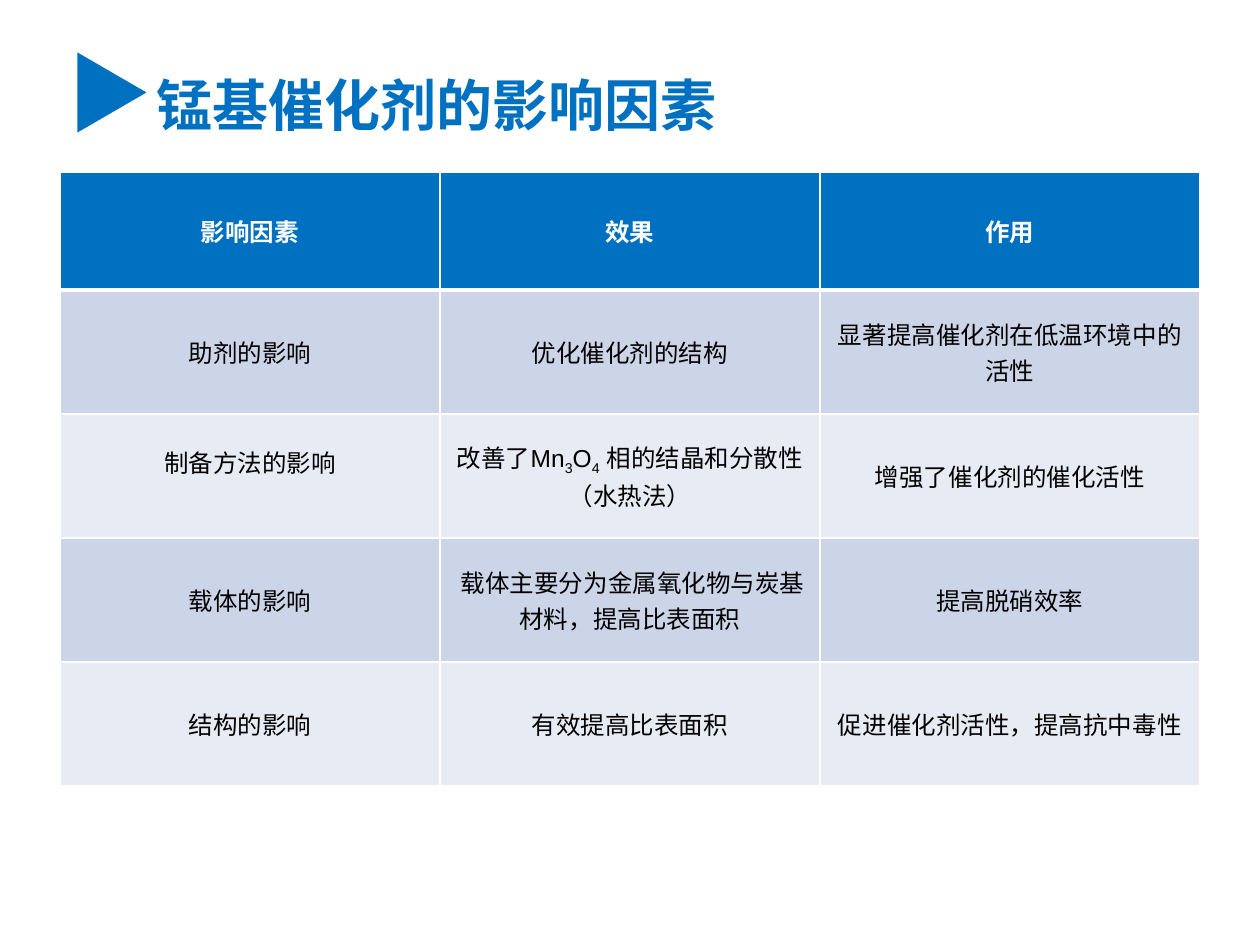
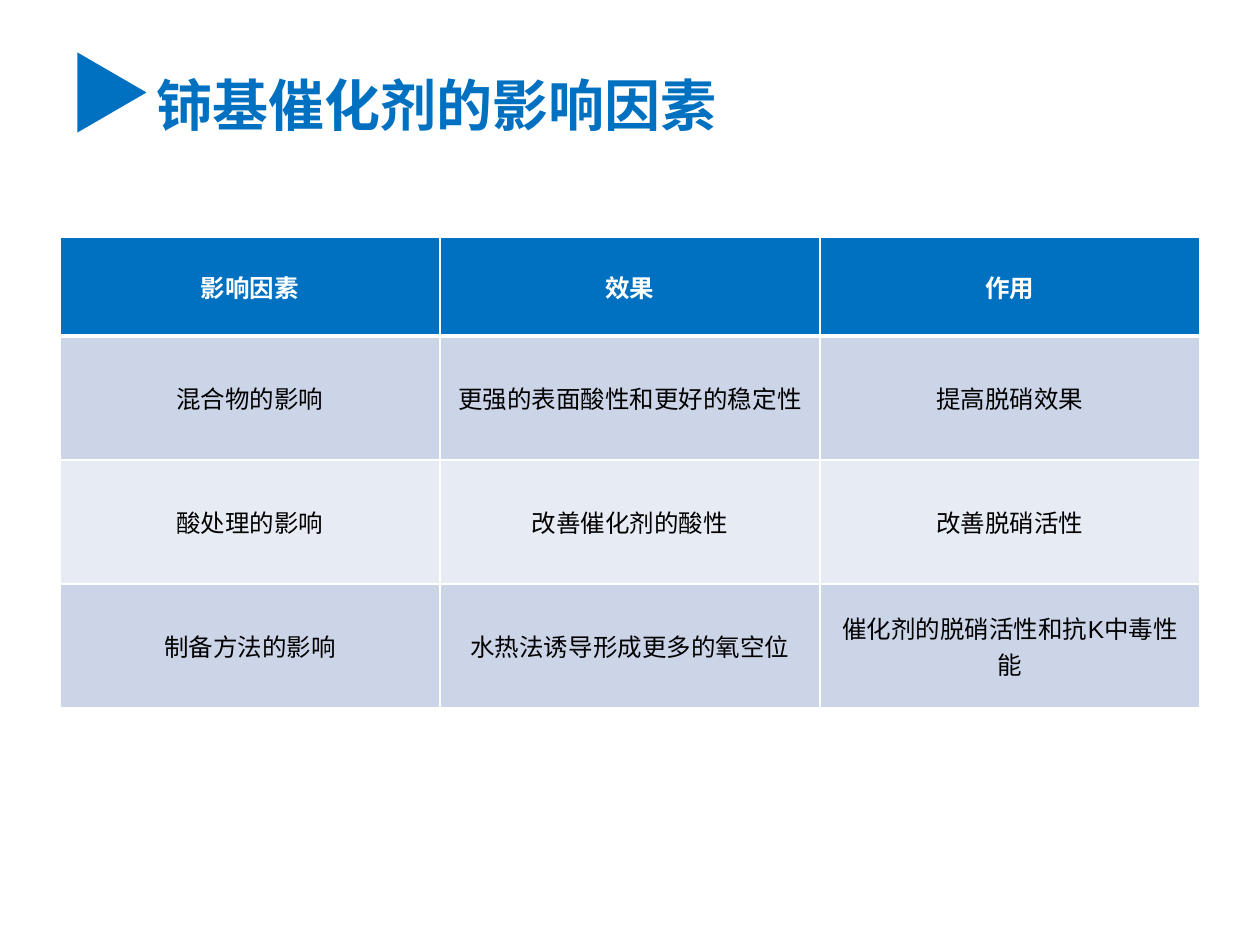
from dataclasses import dataclass

from lxml import etree
from pptx import Presentation
from pptx.dml.color import RGBColor
from pptx.enum.shapes import MSO_SHAPE
from pptx.enum.text import MSO_ANCHOR, MSO_AUTO_SIZE, PP_ALIGN
from pptx.oxml.ns import qn
from pptx.presentation import Presentation as Deck
from pptx.slide import Slide
from pptx.table import _Cell as Cell
from pptx.text.text import TextFrame
from pptx.util import Emu, Pt

# Shared look
BLUE = RGBColor(0x00, 0x70, 0xC0)
DARK_BAND = RGBColor(0xCC, 0xD5, 0xE8)
LIGHT_BAND = RGBColor(0xE7, 0xEB, 0xF4)
WHITE = RGBColor(0xFF, 0xFF, 0xFF)
BLACK = RGBColor(0x00, 0x00, 0x00)
LATIN_FONT = "Arial"
CJK_FONT = "Noto Sans CJK SC"
TITLE_SIZE = 32
CELL_SIZE = 14

TRIANGLE = MSO_SHAPE.ISOSCELES_TRIANGLE
LEFT, CENTER = PP_ALIGN.LEFT, PP_ALIGN.CENTER
TOP, MIDDLE = MSO_ANCHOR.TOP, MSO_ANCHOR.MIDDLE
GROW = MSO_AUTO_SIZE.SHAPE_TO_FIT_TEXT

# Layout in px
PX_PER_INCH = 126
TITLE_ONLY_LAYOUT = 5
TABLE_LEFT = 60
COLUMN_WIDTH = 380
ROW_HEIGHT = 124
HEADINGS = ("影响因素", "效果", "作用")
SUBSCRIPT_MARK = "|"  # text between two marks is set as subscript


@dataclass(frozen=True)
class FactorSlide:
    title: str
    table_top: int
    header_height: int
    rows: tuple[tuple[str, str, str], ...]
    raised_cells: tuple[tuple[int, int], ...] = ()


FACTOR_SLIDES = (
    FactorSlide("锰基催化剂的影响因素", 172, 118, (
        ("助剂的影响", "优化催化剂的结构", "显著提高催化剂在低温环境中的活性"),
        ("制备方法的影响", "改善了Mn|3|O|4| 相的结晶和分散性（水热法）",
         "增强了催化剂的催化活性"),
        ("载体的影响", " 载体主要分为金属氧化物与炭基材料，提高比表面积",
         "提高脱硝效率"),
        ("结构的影响", "有效提高比表面积", "促进催化剂活性，提高抗中毒性"),
    ), raised_cells=((2, 0),)),
    FactorSlide("铈基催化剂的影响因素", 237, 99, (
        ("混合物的影响", "更强的表面酸性和更好的稳定性", "提高脱硝效果"),
        ("酸处理的影响", "改善催化剂的酸性", "改善脱硝活性"),
        ("制备方法的影响", "水热法诱导形成更多的氧空位", "催化剂的脱硝活性和抗K中毒性能"),
    )),
)


def px(length: int) -> Emu:
    return Emu(round(length * 914400 / PX_PER_INCH))


def write_text(frame: TextFrame, text: str, *, size: int, color: RGBColor,
               bold: bool = False, font: str = LATIN_FONT,
               align: PP_ALIGN = CENTER, line_spacing: float = 1.0,
               space_before: float = 0) -> None:
    para = frame.paragraphs[0]
    para.alignment = align
    para.line_spacing = line_spacing
    para.space_before = Pt(space_before)
    for index, part in enumerate(text.split(SUBSCRIPT_MARK)):
        span = para.add_run()
        span.text = part
        span.font.size = Pt(size)
        span.font.bold = bold
        span.font.color.rgb = color
        span.font.name = font
        properties = span._r.get_or_add_rPr()
        etree.SubElement(properties, qn("a:ea"), typeface=CJK_FONT)
        if index % 2:
            properties.set("baseline", "-25000")


def set_borders(cell: Cell, *, top: int, bottom: int) -> None:
    properties = cell._tc.get_or_add_tcPr()
    for side, width in (("L", 1), ("R", 1), ("T", top), ("B", bottom)):
        line = etree.SubElement(properties, qn(f"a:ln{side}"), w=str(Pt(width)))
        fill = etree.SubElement(line, qn("a:solidFill"))
        etree.SubElement(fill, qn("a:srgbClr"), val=str(WHITE))


def add_title(page: Slide, text: str) -> None:
    box = page.shapes.title
    box.left, box.top, box.width, box.height = map(px, (144, 44, 593, 88))
    frame = box.text_frame
    frame.word_wrap = False
    frame.auto_size = GROW
    frame.vertical_anchor = TOP
    write_text(frame, text, size=TITLE_SIZE, color=BLUE, bold=True,
               font=CJK_FONT, align=LEFT, line_spacing=1.3,
               space_before=TITLE_SIZE * 0.2)

    # Pointer in front of the title
    pointer = page.shapes.add_shape(TRIANGLE, *map(px, (72, 58, 80, 69)))
    pointer.rotation = 90
    pointer.shadow.inherit = False
    pointer.fill.solid()
    pointer.fill.fore_color.rgb = BLUE
    pointer.line.fill.background()


def add_factor_table(page: Slide, content: FactorSlide) -> None:
    rows = (HEADINGS, *content.rows)
    height = content.header_height + ROW_HEIGHT * len(content.rows)
    table = page.shapes.add_table(
        len(rows), len(HEADINGS), px(TABLE_LEFT), px(content.table_top),
        px(COLUMN_WIDTH * len(HEADINGS)), px(height)).table
    for column in table.columns:
        column.width = px(COLUMN_WIDTH)
    for row_index, texts in enumerate(rows):
        header = row_index == 0
        table.rows[row_index].height = px(content.header_height if header else ROW_HEIGHT)
        band = BLUE if header else DARK_BAND if row_index % 2 else LIGHT_BAND
        for column_index, text in enumerate(texts):
            cell = table.cell(row_index, column_index)
            cell.vertical_anchor = MIDDLE
            if (row_index, column_index) in content.raised_cells:
                cell.margin_bottom = px(34)
            set_borders(cell, top=3 if row_index == 1 else 1, bottom=3 if header else 1)
            cell.fill.solid()
            cell.fill.fore_color.rgb = band
            write_text(cell.text_frame, text, size=CELL_SIZE,
                       color=WHITE if header else BLACK, bold=header)


def add_factor_slide(deck: Deck, content: FactorSlide) -> None:
    page = deck.slides.add_slide(deck.slide_layouts[TITLE_ONLY_LAYOUT])
    page.background.fill.solid()
    page.background.fill.fore_color.rgb = WHITE
    add_title(page, content.title)
    add_factor_table(page, content)


def main() -> None:
    deck = Presentation()
    deck.slide_width, deck.slide_height = px(1260), px(945)
    for content in FACTOR_SLIDES:
        add_factor_slide(deck, content)
    deck.save("out.pptx")


if __name__ == "__main__":
    main()
